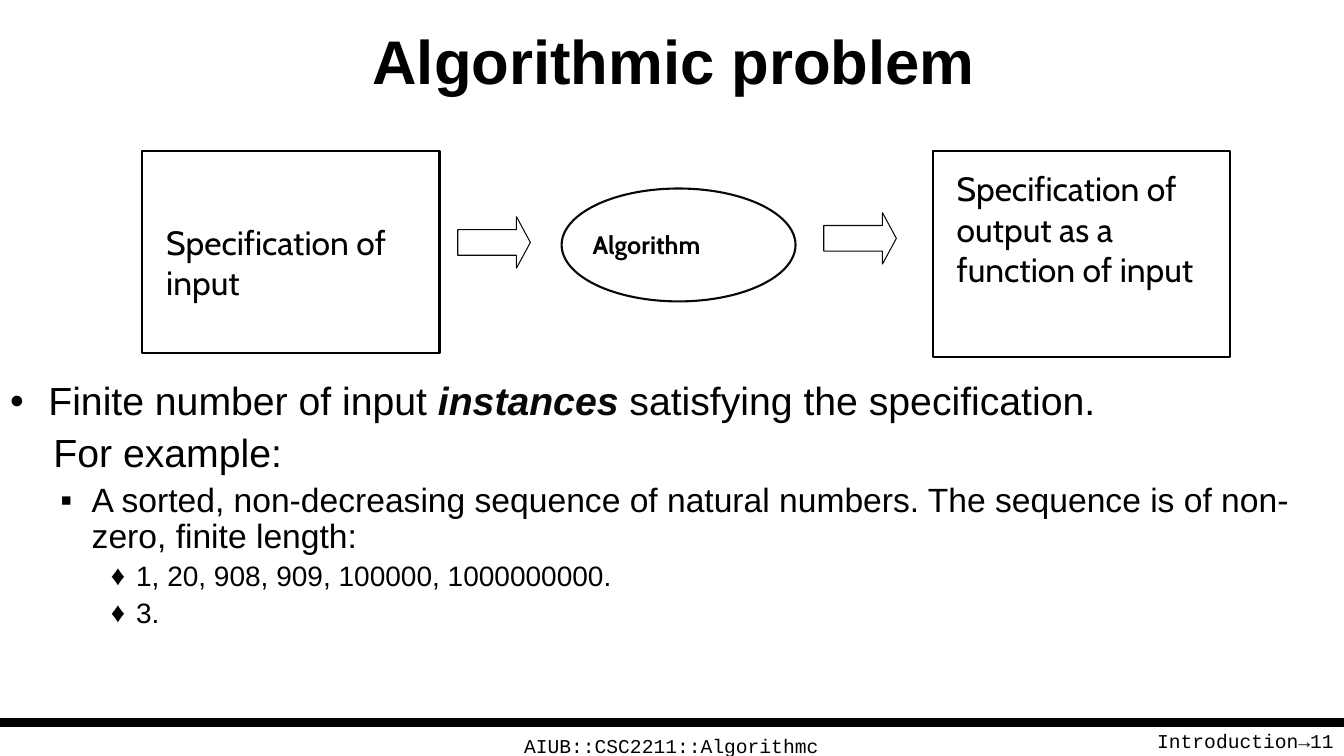
from dataclasses import dataclass

from lxml.etree import SubElement
from pptx import Presentation
from pptx.dml.color import RGBColor
from pptx.enum.shapes import MSO_CONNECTOR, MSO_SHAPE
from pptx.enum.text import MSO_ANCHOR, MSO_AUTO_SIZE, PP_ALIGN
from pptx.oxml.ns import qn
from pptx.shapes.base import BaseShape
from pptx.slide import Slide
from pptx.text.text import TextFrame, _Paragraph as Paragraph
from pptx.util import Emu, Pt

PX = 9144  # 100 px to the inch
SLIDE_WIDTH, SLIDE_HEIGHT = 1333, 750
BLACK = RGBColor(0x00, 0x00, 0x00)
NEAR_BLACK = RGBColor(0x08, 0x08, 0x08)
HEADING_FONT, LABEL_FONT, FOOTER_FONT = "Arial", "Cabin", "Courier New"


@dataclass(frozen=True)
class Box:
    left: int
    top: int
    width: int
    height: int


@dataclass(frozen=True)
class Figure:
    preset: MSO_SHAPE
    box: Box
    color: RGBColor
    line_width: float


@dataclass(frozen=True)
class Label:
    text: str
    box: Box
    size: int
    font: str
    align: PP_ALIGN = PP_ALIGN.LEFT
    bold: bool = False
    wrap: bool = True


@dataclass(frozen=True)
class Span:
    text: str
    color: RGBColor = BLACK
    emphasis: bool = False


@dataclass(frozen=True)
class ListItem:
    spans: tuple[Span, ...]
    size: int
    margin: int
    hanging: int = 0
    level: int = 0
    bullet: str = ""


ARROW_WIDTH, ARROW_HEIGHT = 72, 51
FIGURES = (
    Figure(MSO_SHAPE.RECTANGLE, Box(141, 150, 295, 200), BLACK, 1.5),
    Figure(MSO_SHAPE.RIGHT_ARROW, Box(454, 215, ARROW_WIDTH, ARROW_HEIGHT), NEAR_BLACK, 0.75),
    Figure(MSO_SHAPE.OVAL, Box(557, 187, 232, 112), NEAR_BLACK, 1.5),
    Figure(MSO_SHAPE.RIGHT_ARROW, Box(817, 211, ARROW_WIDTH, ARROW_HEIGHT), NEAR_BLACK, 0.75),
    Figure(MSO_SHAPE.RECTANGLE, Box(925, 150, 295, 204), BLACK, 1.5),
)
LABELS = (
    Label("Specification of input", Box(155, 215, 283, 91), 24, LABEL_FONT),
    Label("Algorithm", Box(578, 223, 146, 40), 18, LABEL_FONT, bold=True, wrap=False),
    Label("Specification of output as a function of input",
          Box(939, 162, 283, 131), 24, LABEL_FONT),
    Label("Introduction→11", Box(1022, 718, 311, 52), 14, FOOTER_FONT, PP_ALIGN.RIGHT),
    Label("AIUB::CSC2211::Algorithmc", Box(455, 723, 422, 52), 14, FOOTER_FONT,
          PP_ALIGN.CENTER),
)
LIST_ITEMS = (
    ListItem((Span("Finite number of input "),
              Span("instances", NEAR_BLACK, emphasis=True),
              Span(" satisfying the specification.")), 28, 38, 38, bullet="•"),
    ListItem((Span("For example:"),), 28, 43),
    ListItem((Span("A sorted, non-decreasing sequence of natural numbers. "
                   "The sequence is of non-zero, finite length:"),), 24, 81, 31, 1, "▪"),
    ListItem((Span("1, 20, 908, 909, 100000, 1000000000."),), 20, 125, 25, 2, "♦"),
    ListItem((Span("3."),), 20, 125, 25, 2, "♦"),
)


def px(length: int) -> Emu:
    return Emu(length * PX)


def corners(box: Box) -> tuple[Emu, Emu, Emu, Emu]:
    return px(box.left), px(box.top), px(box.width), px(box.height)


def place(shape: BaseShape, box: Box) -> None:
    shape.left, shape.top, shape.width, shape.height = corners(box)


def add_run(paragraph: Paragraph, text: str, size: int, font: str,
            color: RGBColor = BLACK, bold: bool = False, italic: bool = False) -> None:
    run = paragraph.add_run()
    run.text = text
    run.font.size, run.font.name = Pt(size), font
    run.font.bold, run.font.italic = bold, italic
    run.font.color.rgb = color


def add_footer_rule(slide: Slide) -> None:
    rule = slide.shapes.add_connector(
        MSO_CONNECTOR.STRAIGHT, px(0), px(717), px(SLIDE_WIDTH), px(717))
    rule.line.color.rgb = BLACK
    rule.line.width = Pt(6)
    SubElement(rule.line._get_or_add_ln().getparent(), qn("a:effectLst"))


def add_figure(slide: Slide, figure: Figure) -> None:
    shape = slide.shapes.add_shape(figure.preset, *corners(figure.box))
    shape.shadow.inherit = False
    shape.fill.background()
    shape.line.color.rgb = figure.color
    shape.line.width = Pt(figure.line_width)
    if figure.preset == MSO_SHAPE.RIGHT_ARROW:
        shape.adjustments[1] = 0.27


def add_label(slide: Slide, label: Label) -> None:
    frame = slide.shapes.add_textbox(*corners(label.box)).text_frame
    frame.word_wrap = label.wrap
    paragraph = frame.paragraphs[0]
    paragraph.alignment = label.align
    add_run(paragraph, label.text, label.size, label.font, bold=label.bold)


def add_title(slide: Slide) -> None:
    title = slide.shapes.title
    place(title, Box(4, 2, 1329, 115))
    title.text_frame.vertical_anchor = MSO_ANCHOR.MIDDLE
    title.text_frame.auto_size = MSO_AUTO_SIZE.NONE
    paragraph = title.text_frame.paragraphs[0]
    paragraph.alignment = PP_ALIGN.CENTER
    add_run(paragraph, "Algorithmic problem", 44, HEADING_FONT, bold=True)


def set_bullet(paragraph: Paragraph, item: ListItem) -> None:
    properties = paragraph._p.get_or_add_pPr()
    properties.set("marL", str(px(item.margin)))
    properties.set("indent", str(-px(item.hanging)))
    if item.bullet:
        SubElement(properties, qn("a:buFont"), typeface=HEADING_FONT)
        SubElement(properties, qn("a:buChar"), char=item.bullet)
    else:
        SubElement(properties, qn("a:buNone"))


def fill_list(frame: TextFrame) -> None:
    frame.auto_size = MSO_AUTO_SIZE.NONE
    frame.vertical_anchor = MSO_ANCHOR.TOP
    for index, item in enumerate(LIST_ITEMS):
        paragraph = frame.add_paragraph() if index else frame.paragraphs[0]
        paragraph.level = item.level
        paragraph.alignment = PP_ALIGN.LEFT
        paragraph.line_spacing = 0.9
        paragraph.space_before = Pt(item.size * 0.23 if index else 0)
        set_bullet(paragraph, item)
        for span in item.spans:
            add_run(paragraph, span.text, item.size, HEADING_FONT, span.color,
                    span.emphasis, span.emphasis)


def main() -> None:
    presentation = Presentation()
    presentation.slide_width, presentation.slide_height = px(SLIDE_WIDTH), px(SLIDE_HEIGHT)
    slide = presentation.slides.add_slide(presentation.slide_layouts[1])
    add_title(slide)
    body = slide.placeholders[1]
    place(body, Box(0, 374, 1310, 319))
    fill_list(body.text_frame)
    add_footer_rule(slide)
    for figure in FIGURES:
        add_figure(slide, figure)
    for label in LABELS:
        add_label(slide, label)
    presentation.save("out.pptx")


if __name__ == "__main__":
    main()
